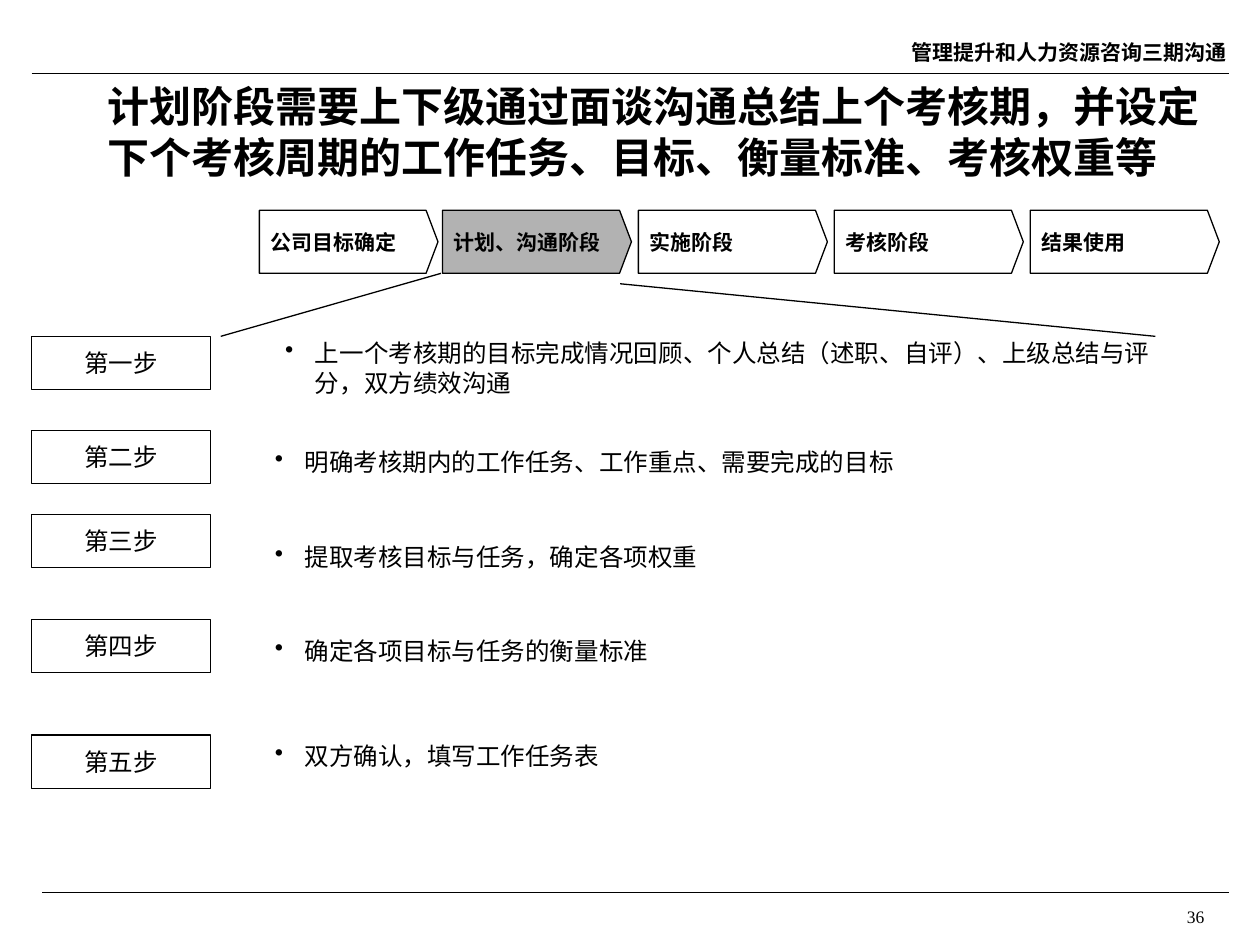
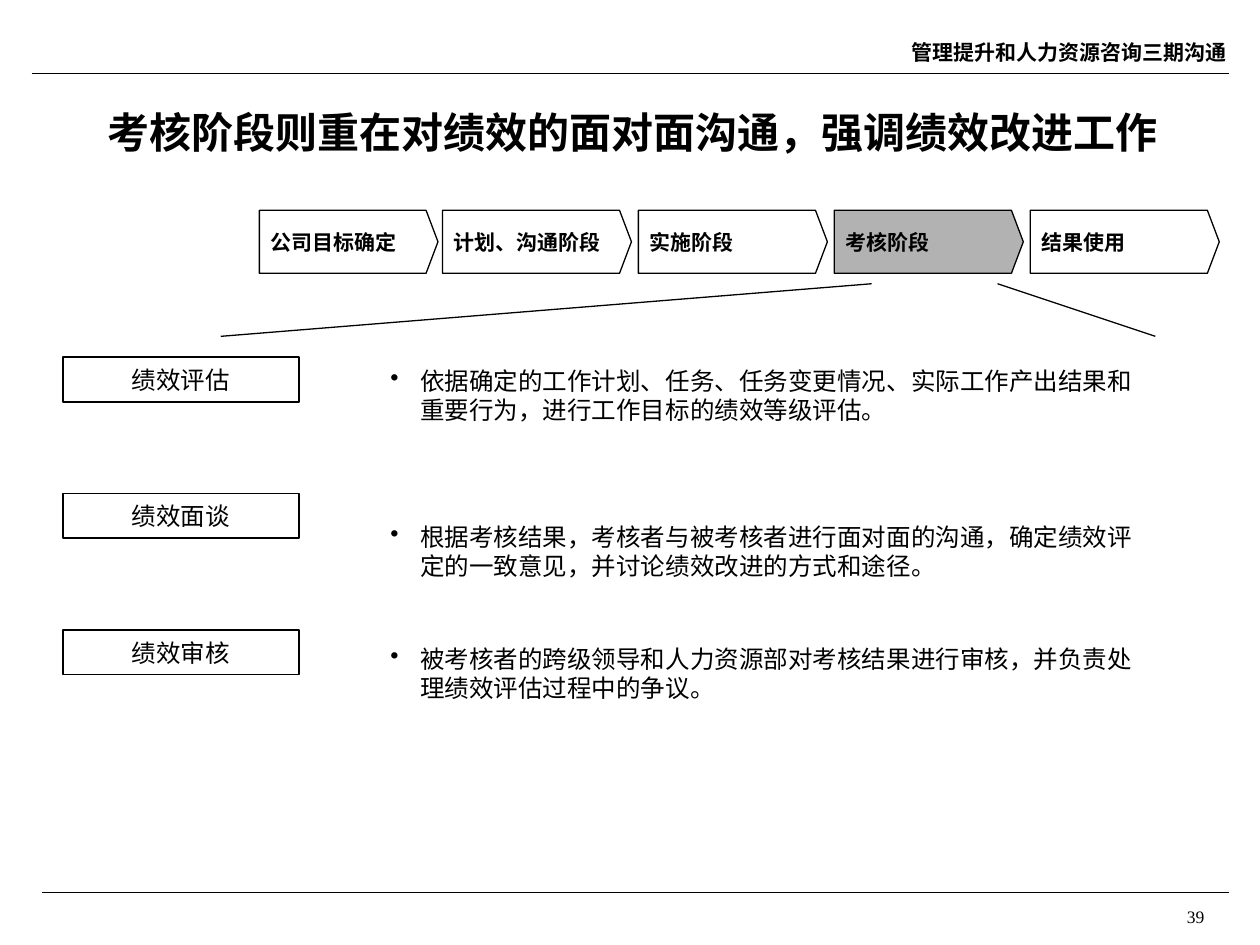
import pptx
import pptx.dml.color
import pptx.enum.shapes
import pptx.enum.text
import pptx.util
from lxml import etree
from pptx.oxml.ns import qn

Cm, Pt = pptx.util.Cm, pptx.util.Pt
Align = pptx.enum.text.PP_ALIGN
Anchor = pptx.enum.text.MSO_ANCHOR

# Theme: colours, fonts, type sizes
theme = {
    "ink": pptx.dml.color.RGBColor(0x00, 0x00, 0x00),
    "active": pptx.dml.color.RGBColor(0xB2, 0xB2, 0xB2),
    "serif": "Times New Roman",
    "sans": "Noto Sans CJK SC",
    "title": {"size": Pt(24), "bold": True},
    "label": {"size": Pt(12), "bold": True},
    "body": {"size": Pt(14), "bold": False},
    "page": {"size": Pt(10), "bold": False},
    "title_spacing": Pt(29),
    "body_spacing": Pt(16.8),
    "bullet_indent": Cm(0.6),
    "line": Pt(0.75),
}


def write(shape, text, style, face="serif", align=Align.LEFT, anchor=Anchor.MIDDLE,
          spacing=None, bullet=False, inset=(0.25, 0.13)):
    """Put one formatted paragraph into a shape."""
    frame = shape.text_frame
    side, edge = Cm(inset[0]), Cm(inset[1])
    frame_format = {"word_wrap": True, "auto_size": pptx.enum.text.MSO_AUTO_SIZE.NONE,
                    "vertical_anchor": anchor, "margin_left": side, "margin_right": side,
                    "margin_top": edge, "margin_bottom": edge}
    for name, value in frame_format.items():
        setattr(frame, name, value)
    paragraph = frame.paragraphs[0]
    if bullet:
        properties = paragraph._p.get_or_add_pPr()
        properties.set("marL", str(theme["bullet_indent"]))
        properties.set("indent", str(-theme["bullet_indent"]))
        etree.SubElement(properties, qn("a:buChar"), char="•")
    paragraph.alignment = align
    paragraph.line_spacing = spacing
    run = paragraph.add_run()
    run.text = text
    for name, value in {"name": theme[face], **theme[style]}.items():
        setattr(run.font, name, value)
    run.font.color.rgb = theme["ink"]
    etree.SubElement(run.font._element, qn("a:ea"), typeface=theme["sans"])


def draw_line(slide, start, end):
    """Draw a thin straight line between two points in centimetres."""
    line = slide.shapes.add_connector(pptx.enum.shapes.MSO_CONNECTOR.STRAIGHT,
                                      *map(Cm, start + end))
    line.line.color.rgb = theme["ink"]
    line.line.width = theme["line"]
    etree.SubElement(line.element.spPr, qn("a:effectLst"))
    return line


# Content: process phases, then what each slide says about one of them
phases = ["公司目标确定", "计划、沟通阶段", "实施阶段", "考核阶段", "结果使用"]
phase_top, phase_bottom, point_depth = 4.24, 5.51, 0.24

pages = [
    {
        "number": "36",
        "title": "计划阶段需要上下级通过面谈沟通总结上个考核期，并设定"
                 "下个考核周期的工作任务、目标、衡量标准、考核权重等",
        "title_width": 22.66,
        "active": 1,
        "zoom_from": [(8.89, 5.51), (12.5, 5.72)],
        "face": "serif",
        "step_left": 0.64, "step_size": (3.6, 1.07), "step_line": Pt(0.75),
        "text_width": 18.21,
        # step, step top, text, text left, text top, text height
        "steps": [
            ("第一步", 6.78, "上一个考核期的目标完成情况回顾、个人总结（述职、自评）、"
             "上级总结与评分，双方绩效沟通", 5.5, 6.78, 1.27),
            ("第二步", 8.68, "明确考核期内的工作任务、工作重点、需要完成的目标", 5.29, 8.89, 0.85),
            ("第三步", 10.37, "提取考核目标与任务，确定各项权重", 5.29, 10.58, 1.27),
            ("第四步", 12.49, "确定各项目标与任务的衡量标准", 5.29, 12.49, 1.27),
            ("第五步", 14.82, "双方确认，填写工作任务表", 5.29, 14.6, 1.27),
        ],
    },
    {
        "number": "39",
        "title": "考核阶段则重在对绩效的面对面沟通，强调绩效改进工作",
        "title_width": 22.23,
        "active": 3,
        "zoom_from": [(17.57, 5.72), (20.11, 5.72)],
        "face": "sans",
        "step_left": 1.27, "step_size": (4.76, 0.9), "step_line": Pt(1),
        "text_width": 15.88,
        "steps": [
            ("绩效评估", 7.2, "依据确定的工作计划、任务、任务变更情况、实际工作产出结果和"
             "重要行为，进行工作目标的绩效等级评估。", 7.62, 6.99, 1.95),
            ("绩效面谈", 9.95, "根据考核结果，考核者与被考核者进行面对面的沟通，确定绩效评"
             "定的一致意见，并讨论绩效改进的方式和途径。", 7.62, 9.95, 2.33),
            ("绩效审核", 12.7, "被考核者的跨级领导和人力资源部对考核结果进行审核，并负责处"
             "理绩效评估过程中的争议。", 7.62, 12.49, 2.17),
        ],
    },
]

presentation = pptx.Presentation()
presentation.slide_width, presentation.slide_height = Cm(25.4), Cm(19.05)
layout = presentation.slide_layouts.get_by_name("Title Only")
slides = [presentation.slides.add_slide(layout) for page in pages]

# Shared header and rules: drawn once, then moved to the layout
header = slides[0].shapes.add_textbox(Cm(17.15), Cm(0.42), Cm(7.83), Cm(1.27))
write(header, "管理提升和人力资源咨询三期沟通", "label", "sans", Align.RIGHT)
footer_rule = draw_line(slides[0], (0.85, 17.99), (24.77, 17.99))
header_rule = draw_line(slides[0], (0.64, 1.48), (24.77, 1.48))
for shape in (footer_rule, header, header_rule):
    layout.shapes.element.append(shape.element)

for slide, page in zip(slides, pages):
    # Title
    title = slide.shapes.title
    title_place = {"left": Cm(1.91), "top": Cm(1.69),
                   "width": Cm(page["title_width"]), "height": Cm(1.91)}
    for name, value in title_place.items():
        setattr(title, name, value)
    write(title, page["title"], "title", spacing=theme["title_spacing"])

    # Process arrows: the first is narrower, the others are evenly spaced
    for index, phase in enumerate(phases):
        left = 8.92 + 3.95 * (index - 1) if index else 5.23
        right = left + (3.81 if index else 3.6)
        shoulder, middle = right - point_depth, (phase_top + phase_bottom) / 2
        builder = slide.shapes.build_freeform(Cm(left), Cm(phase_top))
        outline = [(shoulder, phase_top), (right, middle),
                   (shoulder, phase_bottom), (left, phase_bottom)]
        builder.add_line_segments([(Cm(x), Cm(y)) for x, y in outline])
        arrow = builder.convert_to_shape()
        arrow.shadow.inherit = False
        arrow.line.color.rgb = theme["ink"]
        arrow.line.width = theme["line"]
        if index == page["active"]:
            arrow.fill.solid()
            arrow.fill.fore_color.rgb = theme["active"]
        else:
            arrow.fill.background()
        write(arrow, phase, "label", spacing=Pt(14.4), inset=(0.22, 0))

    # Lines opening from the active phase
    for start, end in zip(page["zoom_from"], [(4.45, 6.78), (23.29, 6.78)]):
        draw_line(slide, start, end)

    # Steps and their descriptions
    for step, step_top, text, text_left, text_top, text_height in page["steps"]:
        box = slide.shapes.add_shape(pptx.enum.shapes.MSO_SHAPE.RECTANGLE,
                                     Cm(page["step_left"]), Cm(step_top),
                                     *map(Cm, page["step_size"]))
        box.shadow.inherit = False
        box.fill.background()
        box.line.color.rgb = theme["ink"]
        box.line.width = page["step_line"]
        write(box, step, "body", page["face"], Align.CENTER, spacing=theme["body_spacing"])
        description = slide.shapes.add_textbox(Cm(text_left), Cm(text_top),
                                               Cm(page["text_width"]), Cm(text_height))
        write(description, text, "body", page["face"],
              spacing=theme["body_spacing"], bullet=True)

    # Page number
    page_number = slide.shapes.add_textbox(Cm(17.98), Cm(18.14), Cm(6.55), Cm(0.48))
    write(page_number, page["number"], "page", align=Align.RIGHT, anchor=Anchor.TOP)

presentation.save("out.pptx")
